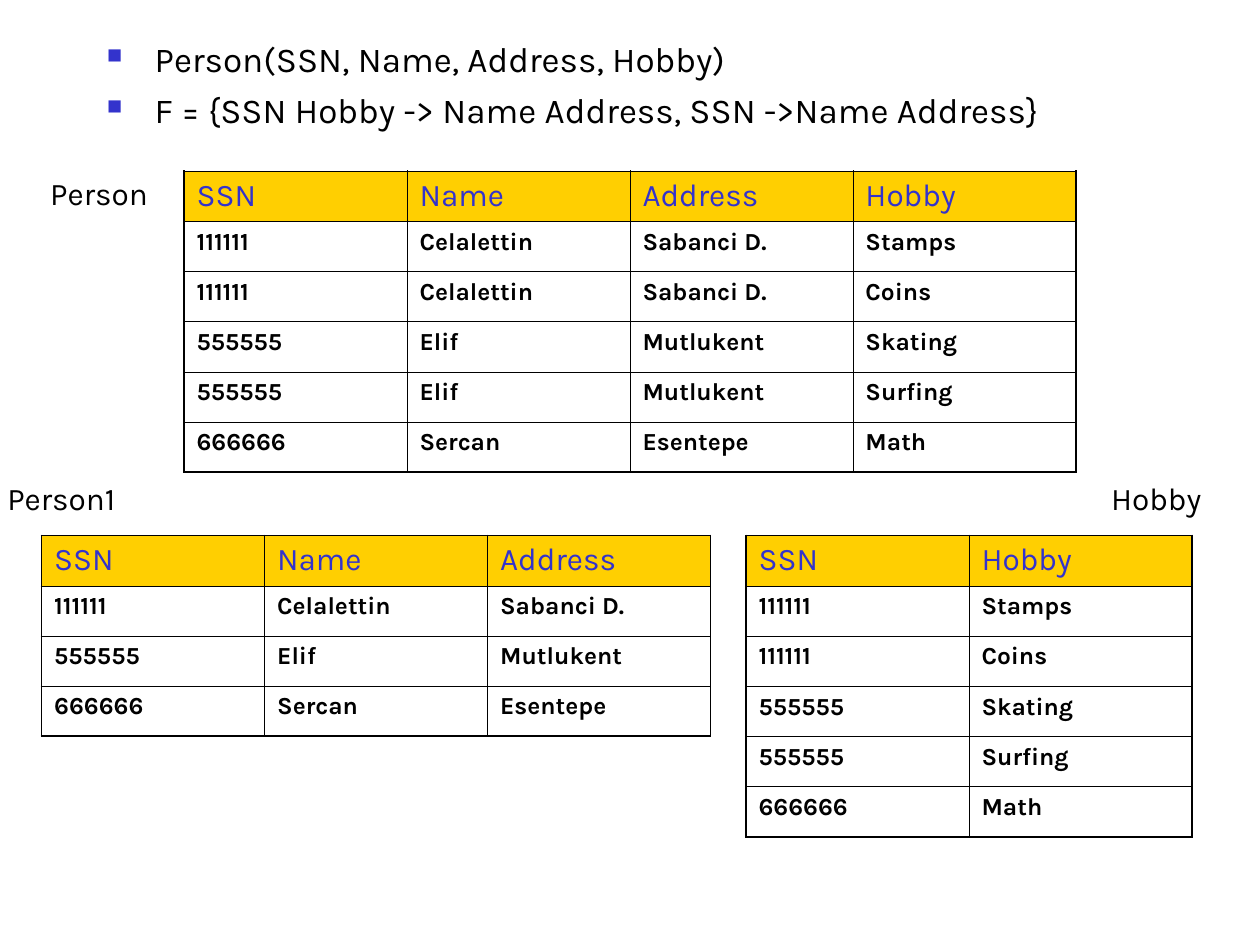
import pptx
import pptx.dml.color
import pptx.oxml
import pptx.oxml.ns
import pptx.util
from pptx.util import Inches

FONT = "Karla"
BLACK, BLUE, GOLD = "000000", "3333CC", "FFCF01"
THIN, THICK = 0.45, 1.08

HEADER = {"size": 18, "color": BLUE, "bold": False, "space_before": 4.5}
BODY = {"size": 14, "color": BLACK, "bold": True, "space_before": 3.5}
LABEL = {"size": 18, "color": BLACK, "bold": False, "space_before": 0}
BULLET = {"size": 20, "color": BLACK, "bold": False, "space_before": 5}

PERSON = [
    ("SSN", "Name", "Address", "Hobby"),
    ("111111", "Celalettin", "Sabanci D.", "Stamps"),
    ("111111", "Celalettin", "Sabanci D.", "Coins"),
    ("555555", "Elif", "Mutlukent", "Skating"),
    ("555555", "Elif", "Mutlukent", "Surfing"),
    ("666666", "Sercan", "Esentepe", "Math"),
]
FACTS = [
    "Person(SSN, Name, Address, Hobby)",
    "F = {SSN Hobby -> Name Address, SSN ->Name Address}",
]


def rgb(color):
    return pptx.dml.color.RGBColor.from_string(color)


def xml(text):
    namespace = pptx.oxml.ns.nsdecls("a")
    return pptx.oxml.parse_xml(text.replace("/>", f" {namespace}/>", 1)
                               if text.count("<") == 1
                               else text.replace(">", f" {namespace}>", 1))


def project(relation, *columns):
    """Keep the named columns and drop repeated rows."""
    places = [relation[0].index(column) for column in columns]
    return list(dict.fromkeys(tuple(row[i] for i in places) for row in relation))


def write(para, text, style):
    span = para.add_run()
    span.text = text
    para.space_before = pptx.util.Pt(style["space_before"])
    values = {"name": FONT, "size": pptx.util.Pt(style["size"]), "bold": style["bold"]}
    for name, value in values.items():
        setattr(span.font, name, value)
    span.font.color.rgb = rgb(style["color"])


def add_borders(cell, widths):
    properties = cell._tc.get_or_add_tcPr()
    for place, (side, width) in enumerate(widths.items()):
        properties.insert(place, xml(
            f'<a:ln{side} w="{pptx.util.Pt(width)}"><a:solidFill>'
            f'<a:srgbClr val="{BLACK}"/></a:solidFill></a:ln{side}>'))


def add_relation(page, box, relation):
    """Draw a relation as a grid with thick outer and thin inner borders."""
    last_row, last_column = len(relation) - 1, len(relation[0]) - 1
    left, top, width, height = map(Inches, box)
    table = page.shapes.add_table(
        last_row + 1, last_column + 1, left, top, width, height).table
    table.horz_banding = False
    for r, row in enumerate(relation):
        for c, text in enumerate(row):
            cell = table.cell(r, c)
            if r == 0:
                cell.fill.solid()
                cell.fill.fore_color.rgb = rgb(GOLD)
            else:
                cell.fill.background()
            outer = {"L": c == 0, "R": c == last_column, "T": r == 0, "B": r == last_row}
            add_borders(cell, {side: THICK if edge else THIN
                               for side, edge in outer.items()})
            write(cell.text_frame.paragraphs[0], text, BODY if r else HEADER)


def add_text_frame(page, box, wrap):
    frame = page.shapes.add_textbox(*map(Inches, box)).text_frame
    frame.word_wrap = wrap
    return frame


def add_label(page, box, text):
    write(add_text_frame(page, box, False).paragraphs[0], text, LABEL)


def add_facts(page, box, facts):
    frame = add_text_frame(page, box, True)
    for number, fact in enumerate(facts):
        para = frame.add_paragraph() if number else frame.paragraphs[0]
        write(para, fact, BULLET)
        properties = para._p.get_or_add_pPr()
        properties.set("marL", str(Inches(0.38)))
        properties.set("indent", str(Inches(-0.38)))
        for part in (f'<a:buClr><a:srgbClr val="{BLUE}"/></a:buClr>',
                     '<a:buSzPct val="60000"/>',
                     '<a:buChar char="■"/>'):
            properties.append(xml(part))


def main():
    deck = pptx.Presentation()
    deck.slide_width, deck.slide_height = Inches(10), Inches(7.5)
    page = deck.slides.add_slide(deck.slide_layouts[6])

    add_relation(page, (1.46, 1.36, 7.08, 2.39), PERSON)
    add_facts(page, (0.75, 0.25, 8.5, 1.04), FACTS)
    add_relation(page, (5.92, 4.25, 3.54, 2.39), project(PERSON, "SSN", "Hobby"))
    add_relation(page, (0.33, 4.25, 5.31, 1.59),
                 project(PERSON, "SSN", "Name", "Address"))
    add_label(page, (0.3, 1.33, 1.02, 0.4), "Person")
    add_label(page, (-0.04, 3.75, 1.16, 0.4), "Person1")
    add_label(page, (8.72, 3.75, 0.97, 0.4), "Hobby")

    deck.save("out.pptx")


if __name__ == "__main__":
    main()
